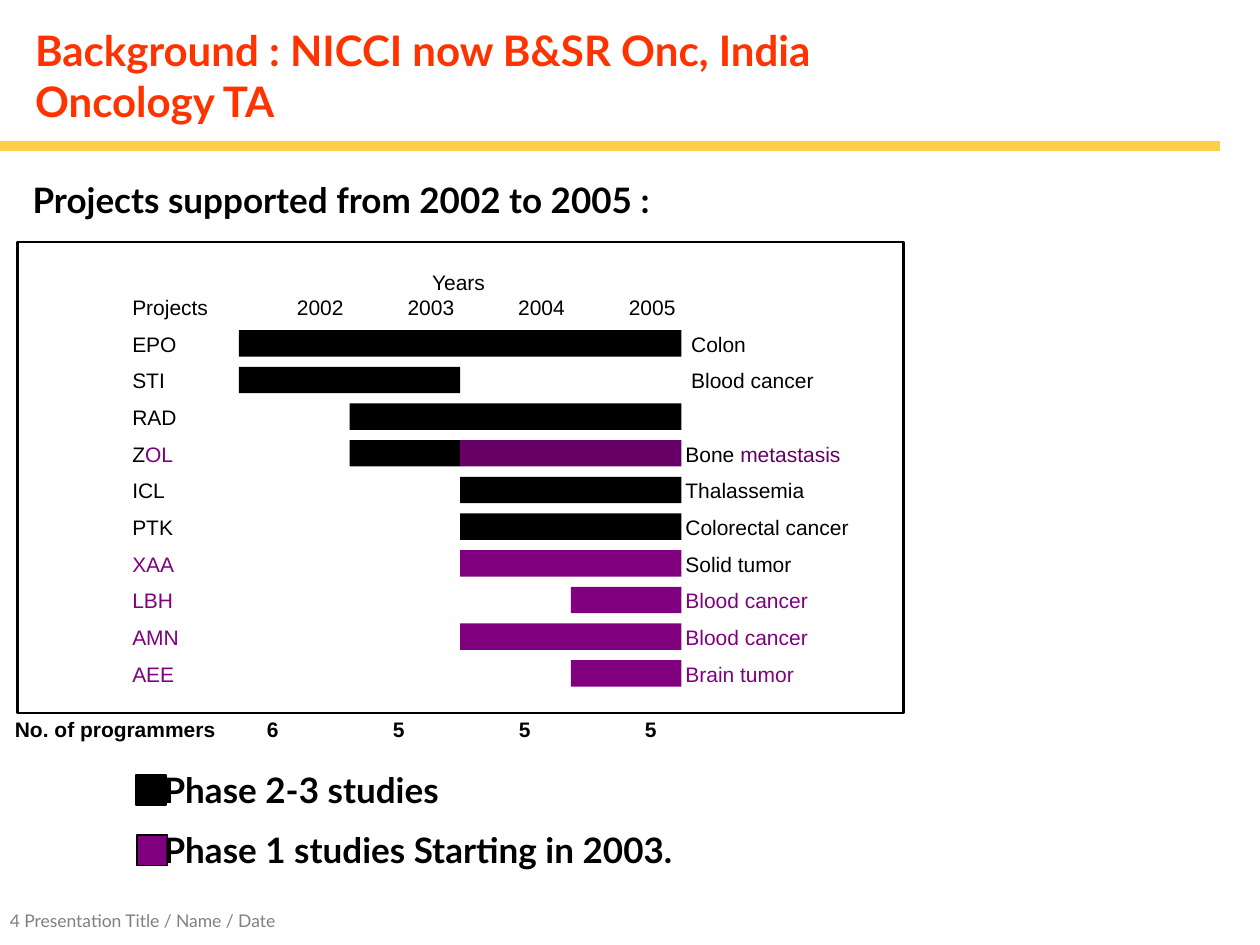
from dataclasses import dataclass

from lxml import etree
from pptx import Presentation
from pptx import util as u
from pptx.dml.color import RGBColor
from pptx.enum import shapes, text
from pptx.oxml import ns


@dataclass(frozen=True)
class Theme:
    heading: str = "FF3300"
    rule: str = "FFCF49"
    ink: str = "000000"
    early: str = "800080"
    bone: str = "660066"
    muted: str = "808080"
    display: str = "Lato"
    body: str = "Arial"
    title_size: int = 24
    lead_size: int = 20
    label_size: int = 12
    footer_size: int = 10


THEME = Theme()
COLUMNS, ROWS = 100, 75


def apply(target, values):
    for name, value in values.items():
        setattr(target, name, value)


class Slide:
    def __init__(self, deck, theme):
        self.theme = theme
        self.slide = deck.slides.add_slide(deck.slide_layouts[6])
        self.column = deck.slide_width / COLUMNS
        self.row = deck.slide_height / ROWS

    def place(self, left, top, width, height):
        return (round(left * self.column), round(top * self.row),
                round(width * self.column), round(height * self.row))

    def rule(self, left, right, row, color, weight):
        x, y, length, _ = self.place(left, row, right - left, 0)
        rule = self.slide.shapes.add_connector(shapes.MSO_CONNECTOR.STRAIGHT, x, y, x + length, y)
        rule.line.color.rgb = RGBColor.from_string(color)
        rule.line.width = u.Pt(weight)
        etree.SubElement(rule._element.spPr, ns.qn("a:effectLst"))

    def box(self, area, fill=None, weight=0):
        box = self.slide.shapes.add_shape(shapes.MSO_SHAPE.RECTANGLE, *self.place(*area))
        box.shadow.inherit = False
        if fill:
            box.fill.solid()
            box.fill.fore_color.rgb = RGBColor.from_string(fill)
        else:
            box.fill.background()
        if weight:
            box.line.color.rgb = RGBColor.from_string(self.theme.ink)
            box.line.width = u.Pt(weight)
        else:
            box.line.fill.background()

    def words(self, area, paragraphs, size, font=None, bold=False, inset=True,
              anchor=text.MSO_ANCHOR.TOP, after=0, tabs=()):
        frame = self.slide.shapes.add_textbox(*self.place(*area)).text_frame
        side, end = (u.Inches(0.1), u.Inches(0.05)) if inset else (0, 0)
        apply(frame, {"word_wrap": True, "vertical_anchor": anchor,
                      "margin_left": side, "margin_right": side,
                      "margin_top": end, "margin_bottom": end})
        for index, runs in enumerate(paragraphs):
            paragraph = frame.add_paragraph() if index else frame.paragraphs[0]
            paragraph.space_after = u.Pt(after)
            if tabs:
                stops = etree.SubElement(paragraph._p.get_or_add_pPr(), ns.qn("a:tabLst"))
                for stop in tabs:
                    etree.SubElement(stops, ns.qn("a:tab"),
                                     pos=str(round(stop * self.column)), algn="l")
            for wording, color in runs:
                for part, line in enumerate(wording.split("\n")):
                    if part:
                        paragraph.add_line_break()
                    run = paragraph.add_run()
                    run.text = line
                    apply(run.font, {"size": u.Pt(size), "bold": bold,
                                     "name": font or self.theme.display})
                    run.font.color.rgb = RGBColor.from_string(color)

    def label(self, left, top, width, runs):
        self.words((left, top, width, 2), [runs], self.theme.label_size,
                   font=self.theme.body, inset=False)


INK, EARLY, BONE = THEME.ink, THEME.early, THEME.bone
YEARS = ("2002", "2003", "2004", "2005")
PROJECTS = (
    ([("EPO", INK)], [(0, 4, INK)], [("Colon", INK)]),
    ([("STI", INK)], [(0, 2, INK)], [("Blood cancer", INK)]),
    ([("RAD", INK)], [(1, 4, INK)], []),
    ([("Z", INK), ("OL", EARLY)], [(1, 2, INK), (2, 4, BONE)],
     [("Bone ", INK), ("metastasis", BONE)]),
    ([("ICL", INK)], [(2, 4, INK)], [("Thalassemia", INK)]),
    ([("PTK", INK)], [(2, 4, INK)], [("Colorectal cancer", INK)]),
    ([("XAA", EARLY)], [(2, 4, EARLY)], [("Solid tumor", INK)]),
    ([("LBH", EARLY)], [(3, 4, EARLY)], [("Blood cancer", EARLY)]),
    ([("AMN", EARLY)], [(2, 4, EARLY)], [("Blood cancer", EARLY)]),
    ([("AEE", EARLY)], [(3, 4, EARLY)], [("Brain tumor", EARLY)]),
)
NAME_LEFT, CHART_LEFT, CONDITION_LEFT = 10.5, 18.97, 54.4
YEAR_WIDTH, PROJECT_STEP = 8.78, 2.91
CHART_TOP, BAR_HEIGHT = 26.2, 2.1
INDENTED_CONDITIONS = 2


def draw_timeline(slide):
    slide.box((1.4, 19.2, 70.3, 37.4), weight=1.5)
    slide.label(34.3, 21.4, 8, [("Years", INK)])
    slide.label(NAME_LEFT, 23.4, 8, [("Projects", INK)])
    for index, year in enumerate(YEARS):
        slide.label(CHART_LEFT + index * YEAR_WIDTH + 4.6, 23.4, 6, [(year, INK)])
    for index, (name, bars, condition) in enumerate(PROJECTS):
        top = CHART_TOP + index * PROJECT_STEP
        for start, end, color in bars:
            slide.box((CHART_LEFT + start * YEAR_WIDTH, top,
                       (end - start) * YEAR_WIDTH, BAR_HEIGHT), color)
        slide.label(NAME_LEFT, top + 0.1, 8, name)
        if condition:
            indent = 0.46 if index < INDENTED_CONDITIONS else 0
            slide.label(CONDITION_LEFT + indent, top + 0.1, 16, condition)


def main():
    deck = Presentation()
    deck.slide_width, deck.slide_height = u.Inches(10), u.Inches(7.5)
    slide = Slide(deck, THEME)

    slide.rule(0, 96.8, 11.6, THEME.rule, 6)
    slide.words((-0.2, 71.7, 30, 2.9), [[("4 Presentation Title / Name / Date", THEME.muted)]],
                THEME.footer_size)
    slide.words((1.8, 0.4, 96.2, 11.1),
                [[("Background : NICCI now B&SR Onc, India\nOncology TA", THEME.heading)]],
                THEME.title_size, bold=True, anchor=text.MSO_ANCHOR.MIDDLE)
    slide.words((1.6, 13.7, 82.9, 4.3), [[("Projects supported from 2002 to 2005 :", INK)]],
                THEME.lead_size, bold=True)

    draw_timeline(slide)
    slide.words((0.2, 56.4, 71.3, 4.3), [[("No. of programmers\t6\t5\t5\t5", INK)]],
                THEME.label_size, font=THEME.body, bold=True, tabs=(20, 30, 40, 50))

    for left, top, color in ((10.8, 61.5, INK), (10.9, 66.3, EARLY)):
        slide.box((left, top, 2.4, 2.4), color, weight=1)
    slide.words((12, 60.5, 67.7, 9.1),
                [[("Phase 2-3 studies", INK)], [("Phase 1 studies Starting in 2003.", INK)]],
                THEME.lead_size, bold=True, after=10)
    deck.save("out.pptx")


if __name__ == "__main__":
    main()
